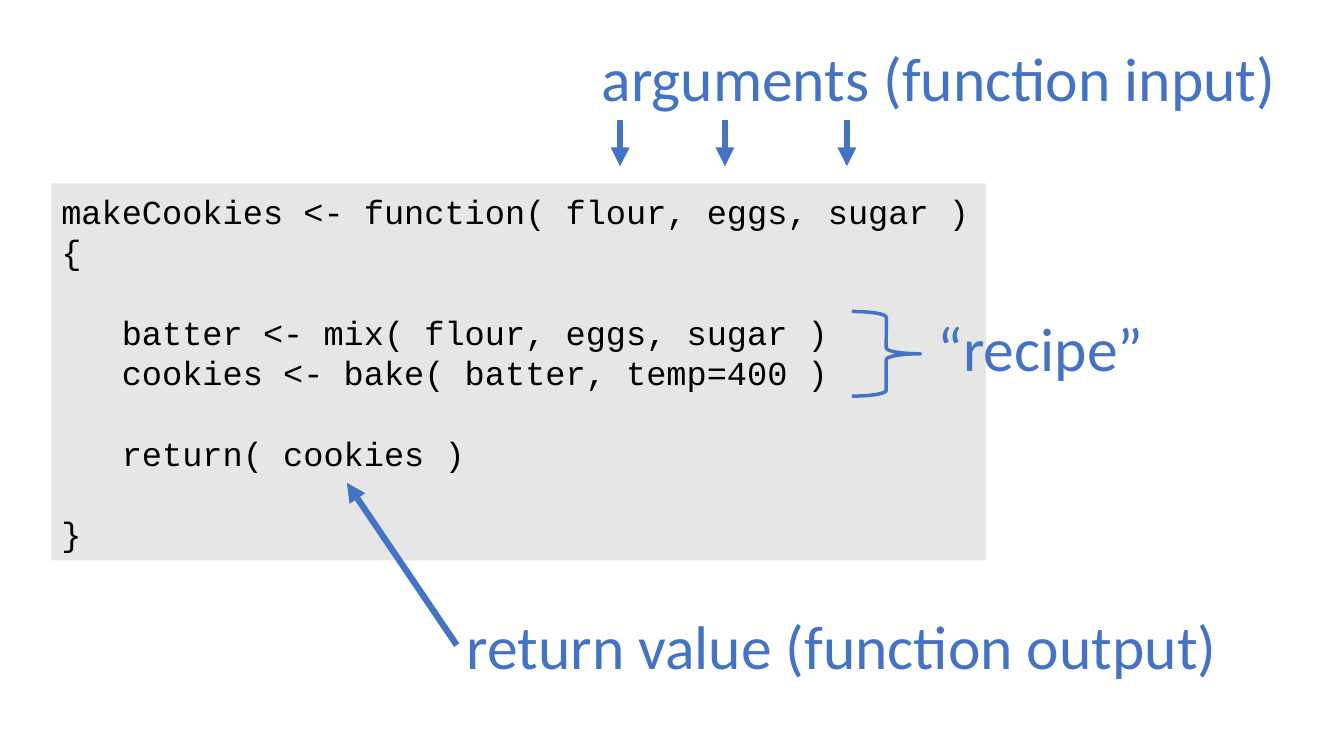
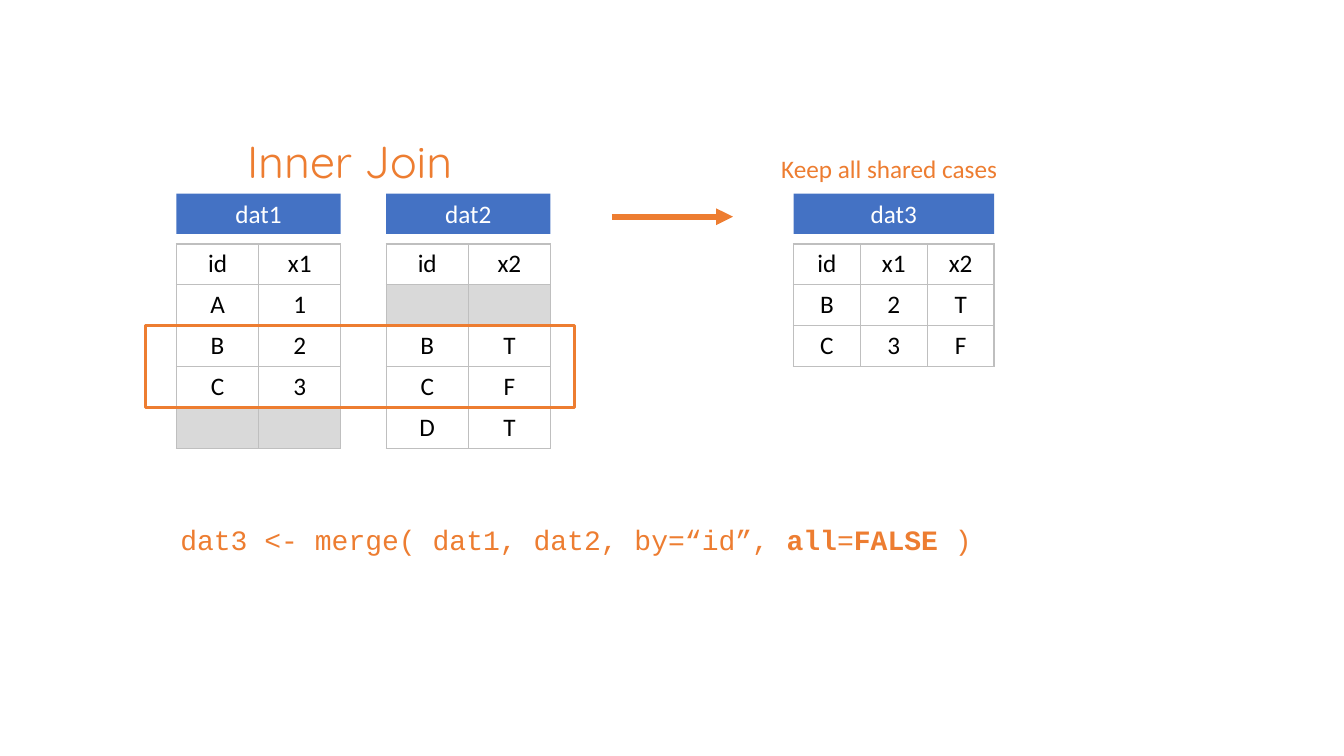
import lxml.etree
import pptx
import pptx.dml.color
import pptx.enum.shapes
import pptx.enum.text
import pptx.oxml.ns
import pptx.util

Inches = pptx.util.Inches
Pt = pptx.util.Pt
RGBColor = pptx.dml.color.RGBColor
Align = pptx.enum.text.PP_ALIGN
Anchor = pptx.enum.text.MSO_ANCHOR
Shape = pptx.enum.shapes.MSO_SHAPE
qn = pptx.oxml.ns.qn

BLUE = RGBColor(0x44, 0x72, 0xC4)
ORANGE = RGBColor(0xED, 0x7D, 0x31)
BLACK = RGBColor(0x00, 0x00, 0x00)
WHITE = RGBColor(0xFF, 0xFF, 0xFF)
CODE_GREY = RGBColor(0xE7, 0xE6, 0xE6)
MISSING_GREY = RGBColor(0xD9, 0xD9, 0xD9)
BORDER_GREY = RGBColor(0xBF, 0xBF, 0xBF)

BODY_FONT = "Calibri"
CODE_FONT = "Courier New"
TITLE_FONT = "Quicksand"

TITLE_ONLY_LAYOUT = 5
BLANK_LAYOUT = 6

CODE_LINE = 28.8
ROW_HEIGHT = 2.03 / 5
HEADER_TOP = 1.92
TABLE_TOP = 2.42


def add_span(para, text, font=BODY_FONT, size=18, color=BLACK, bold=False):
    span = para.add_run()
    span.text = text
    span.font.name = font
    span.font.size = Pt(size)
    span.font.color.rgb = color
    span.font.bold = bold
    return span


class Deck:
    def __init__(self):
        self.deck = pptx.Presentation()
        self.deck.slide_width = Inches(13.33)
        self.deck.slide_height = Inches(7.5)
        self.page = None

    def new_page(self, layout):
        self.page = self.deck.slides.add_slide(self.deck.slide_layouts[layout])

    def title(self, text, left, top, width, height):
        box = self.page.shapes.title
        box.left, box.top = Inches(left), Inches(top)
        box.width, box.height = Inches(width), Inches(height)
        frame = box.text_frame
        frame.word_wrap = False
        frame.auto_size = pptx.enum.text.MSO_AUTO_SIZE.NONE
        frame.vertical_anchor = Anchor.TOP
        frame.paragraphs[0].alignment = Align.LEFT
        add_span(frame.paragraphs[0], text, TITLE_FONT, 32, ORANGE)

    def label(self, spans, left, top, width, height, wrap=False, **style):
        box = self.page.shapes.add_textbox(
            Inches(left), Inches(top), Inches(width), Inches(height))
        box.text_frame.word_wrap = wrap
        for text, bold in spans:
            add_span(box.text_frame.paragraphs[0], text, bold=bold, **style)
        return box

    def shape(self, kind, left, top, width, height, fill=None, line=None, weight=1):
        box = self.page.shapes.add_shape(
            kind, Inches(left), Inches(top), Inches(width), Inches(height))
        box.shadow.inherit = False
        if fill is None:
            box.fill.background()
        else:
            box.fill.solid()
            box.fill.fore_color.rgb = fill
        if line is None:
            box.line.fill.background()
        else:
            box.line.color.rgb = line
            box.line.width = Pt(weight)
        return box

    def code_block(self, groups, left, top, width, height):
        box = self.shape(Shape.RECTANGLE, left, top, width, height, CODE_GREY)
        frame = box.text_frame
        frame.word_wrap = True
        frame.vertical_anchor = Anchor.MIDDLE
        para = None
        for group in groups:
            for index, text in enumerate(group):
                starts_gap = para is not None and index == 0
                para = frame.paragraphs[0] if para is None else frame.add_paragraph()
                para.alignment = Align.LEFT
                para.line_spacing = Pt(CODE_LINE)
                para.space_before = Pt(CODE_LINE if starts_gap else 0)
                add_span(para, text, CODE_FONT, 24)

    def arrow(self, start, end, color, weight, source=None, side=0):
        line = self.page.shapes.add_connector(
            pptx.enum.shapes.MSO_CONNECTOR.STRAIGHT,
            *[Inches(value) for value in start + end])
        if source is not None:
            line.begin_connect(source, side)
        line.line.color.rgb = color
        line.line.width = Pt(weight)
        outline = line.line._get_or_add_ln()
        lxml.etree.SubElement(outline, qn("a:tailEnd"), type="triangle")
        lxml.etree.SubElement(line._element.spPr, qn("a:effectLst"))

    def cell(self, cell, text):
        properties = cell._tc.get_or_add_tcPr()
        for edge in ("a:lnL", "a:lnR", "a:lnT", "a:lnB"):
            border = lxml.etree.SubElement(properties, qn(edge), w=str(Pt(1)))
            paint = lxml.etree.SubElement(border, qn("a:solidFill"))
            lxml.etree.SubElement(paint, qn("a:srgbClr"), val=str(BORDER_GREY))
        if text:
            cell.fill.background()
            para = cell.text_frame.paragraphs[0]
            para.alignment = Align.CENTER
            add_span(para, text)
        else:
            cell.fill.solid()
            cell.fill.fore_color.rgb = MISSING_GREY

    def data_table(self, name, rows, left, width):
        header = self.shape(Shape.RECTANGLE, left, HEADER_TOP, width, 0.4, BLUE)
        header.text_frame.vertical_anchor = Anchor.MIDDLE
        para = header.text_frame.paragraphs[0]
        para.alignment = Align.CENTER
        add_span(para, name, color=WHITE)
        table = self.page.shapes.add_table(
            len(rows), len(rows[0]), Inches(left), Inches(TABLE_TOP),
            Inches(width), Inches(ROW_HEIGHT * len(rows))).table
        table.first_row = False
        table.horz_banding = False
        for row, texts in enumerate(rows):
            for column, text in enumerate(texts):
                self.cell(table.cell(row, column), text)


def build_function_page(deck):
    deck.new_page(BLANK_LAYOUT)
    deck.code_block([
        ["makeCookies <- function( flour, eggs, sugar )", "{"],
        ["   batter <- mix( flour, eggs, sugar )",
         "   cookies <- bake( batter, temp=400 )"],
        ["   return( cookies )"],
        ["}"],
    ], 0.51, 1.82, 9.27, 3.74)
    notes = [
        ("arguments (function input)", 5.87, 0.35, 6.96),
        ("“recipe”", 9.2, 3.03, 2.26),
        ("return value (function output)", 4.53, 5.98, 7.73),
    ]
    for text, left, top, width in notes:
        output_label = deck.label(
            [(text, False)], left, top, width, 0.84, size=44, color=BLUE)
    for center in (6.15, 7.19, 8.4):
        deck.arrow((center, 1.19), (center, 1.65), BLUE, 4.5)
    deck.arrow((4.53, 6.4), (3.44, 4.79), BLUE, 4.5, output_label, 1)
    deck.shape(Shape.RIGHT_BRACE, 8.45, 3.09, 0.68, 0.84, line=BLUE, weight=2.5)


def build_join_page(deck):
    deck.new_page(TITLE_ONLY_LAYOUT)
    deck.title("Inner Join", 2.35, 1.28, 2.27, 0.64)
    missing = ("", "")
    tables = [
        ("dat1", [("id", "x1"), ("A", "1"), ("B", "2"), ("C", "3"), missing], 1.75, 1.63),
        ("dat2", [("id", "x2"), missing, ("B", "T"), ("C", "F"), ("D", "T")], 3.83, 1.63),
        ("dat3", [("id", "x1", "x2"), ("B", "2", "T"), ("C", "3", "F")], 7.87, 1.99),
    ]
    for table in tables:
        deck.data_table(*table)
    deck.shape(Shape.RECTANGLE, 1.44, TABLE_TOP + 2 * ROW_HEIGHT, 4.26,
               2 * ROW_HEIGHT, line=ORANGE, weight=2)
    deck.arrow((6.07, 2.15), (7.27, 2.15), ORANGE, 4)
    deck.label([("Keep all shared cases", False)], 7.65, 1.47, 2.37, 0.4, color=ORANGE)
    deck.label([
        ("dat3 <- merge( dat1, dat2, by=“id”, ", False),
        ("all", True), ("=", False), ("FALSE", True), (" )", False),
    ], 1.69, 5.13, 8.77, 0.44, wrap=True, font=CODE_FONT, size=20, color=ORANGE)


def main():
    deck = Deck()
    build_function_page(deck)
    build_join_page(deck)
    deck.deck.save("out.pptx")


if __name__ == "__main__":
    main()
